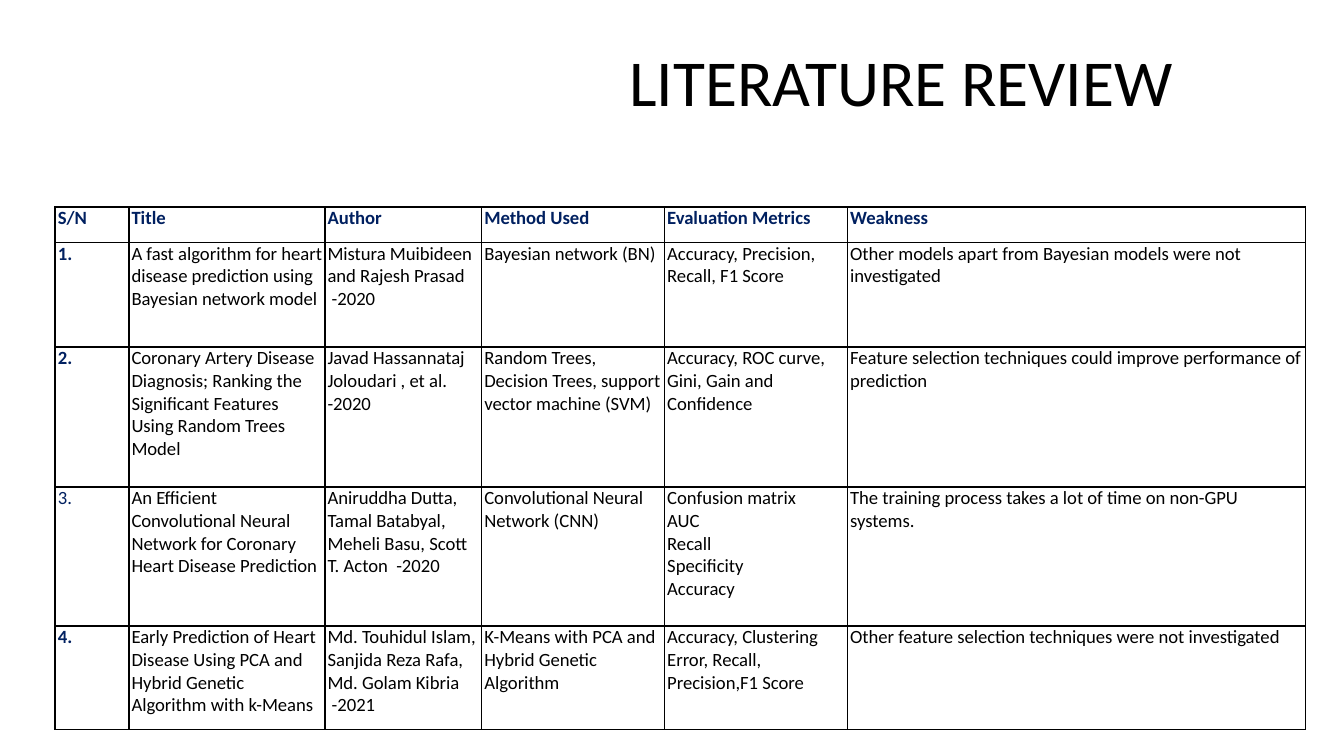
"""Build the literature review slide."""
from dataclasses import dataclass

import lxml.etree
import pptx
import pptx.dml.color
import pptx.enum.text
import pptx.oxml.ns
import pptx.table
import pptx.util

Pt = pptx.util.Pt
BLACK = pptx.dml.color.RGBColor(0, 0, 0)
NAVY = pptx.dml.color.RGBColor(0x00, 0x20, 0x60)
WHITE = pptx.dml.color.RGBColor(0xFF, 0xFF, 0xFF)
FONT = "Calibri"


@dataclass
class Row:
    height: float
    texts: tuple[str, ...]
    strong: bool = True


HEAD = ("S/N", "Title", "Author", "Method Used", "Evaluation Metrics", "Weakness")
WIDTHS = (39.5, 105, 84, 98, 98, 245.5)
ROWS = (
    Row(19, HEAD),
    Row(56, (
        "1.",
        "A fast algorithm for heart disease prediction using Bayesian network model",
        "Mistura Muibideen and Rajesh Prasad\n -2020",
        "Bayesian network (BN)",
        "Accuracy, Precision, Recall, F1 Score",
        "Other models apart from Bayesian models were not investigated",
    )),
    Row(75, (
        "2.",
        "Coronary Artery Disease Diagnosis; Ranking the Significant Features "
        "Using Random Trees Model",
        "Javad Hassannataj Joloudari , et al.\n-2020",
        "Random Trees, Decision Trees, support vector machine (SVM)",
        "Accuracy, ROC curve, Gini, Gain and Confidence",
        "Feature selection techniques could improve performance of prediction",
    )),
    Row(74.5, (
        "3.",
        "An Efficient Convolutional Neural Network for Coronary Heart Disease Prediction",
        "Aniruddha Dutta, Tamal Batabyal, Meheli Basu, Scott T. Acton  -2020",
        "Convolutional Neural Network (CNN)",
        "Confusion matrix\nAUC\nRecall\nSpecificity\nAccuracy",
        "The training process takes a lot of time on non-GPU systems.",
    ), strong=False),
    Row(55.5, (
        "4.",
        "Early Prediction of Heart Disease Using PCA and Hybrid Genetic "
        "Algorithm with k-Means",
        "Md. Touhidul Islam, Sanjida Reza Rafa, Md. Golam Kibria\n -2021",
        "K-Means with PCA and\nHybrid Genetic Algorithm",
        "Accuracy, Clustering Error, Recall, Precision,F1 Score",
        "Other feature selection techniques were not investigated",
    )),
)


def style(para, size: float, color: pptx.dml.color.RGBColor, bold: bool = False) -> None:
    font = para.font
    font.name, font.size, font.bold = FONT, Pt(size), bold
    font.color.rgb = color


def border(cell: pptx.table._Cell) -> None:
    props = cell._tc.get_or_add_tcPr()
    tag = pptx.oxml.ns.qn
    for side in ("a:lnL", "a:lnR", "a:lnT", "a:lnB"):
        line = lxml.etree.SubElement(props, tag(side), w=str(Pt(1)))
        fill = lxml.etree.SubElement(line, tag("a:solidFill"))
        lxml.etree.SubElement(fill, tag("a:srgbClr"), val=str(BLACK))


def write(cell: pptx.table._Cell, text: str, color: pptx.dml.color.RGBColor,
          bold: bool) -> None:
    cell.margin_left = cell.margin_right = Pt(1.5)
    cell.margin_top = cell.margin_bottom = 0
    border(cell)
    cell.fill.solid()
    cell.fill.fore_color.rgb = WHITE
    cell.text = text
    for para in cell.text_frame.paragraphs:
        style(para, 10, color, bold)


def add_title(slide) -> None:
    title = slide.shapes.title
    title.left, title.top, title.width, title.height = map(Pt, (235.5, 14.5, 494.5, 57))
    title.text = "LITERATURE REVIEW"
    title.text_frame.vertical_anchor = pptx.enum.text.MSO_ANCHOR.MIDDLE
    para = title.text_frame.paragraphs[0]
    para.alignment = pptx.enum.text.PP_ALIGN.CENTER
    style(para, 35.1, BLACK)


def add_grid(slide) -> None:
    height = sum(row.height for row in ROWS)
    frame = slide.shapes.add_table(len(ROWS), len(HEAD), Pt(29.5), Pt(111),
                                   Pt(sum(WIDTHS)), Pt(height))
    table = frame.table
    table.first_row = table.horz_banding = False
    for col, width in zip(table.columns, WIDTHS):
        col.width = Pt(width)
    for r, row in enumerate(ROWS):
        table.rows[r].height = Pt(row.height)
        for c, text in enumerate(row.texts):
            label = r == 0 or c == 0
            write(table.cell(r, c), text, NAVY if label else BLACK, label and row.strong)


def main() -> None:
    deck = pptx.Presentation()
    deck.slide_width, deck.slide_height = Pt(720), Pt(405)
    slide = deck.slides.add_slide(deck.slide_layouts[5])
    add_title(slide)
    add_grid(slide)
    deck.save("out.pptx")


if __name__ == "__main__":
    main()
